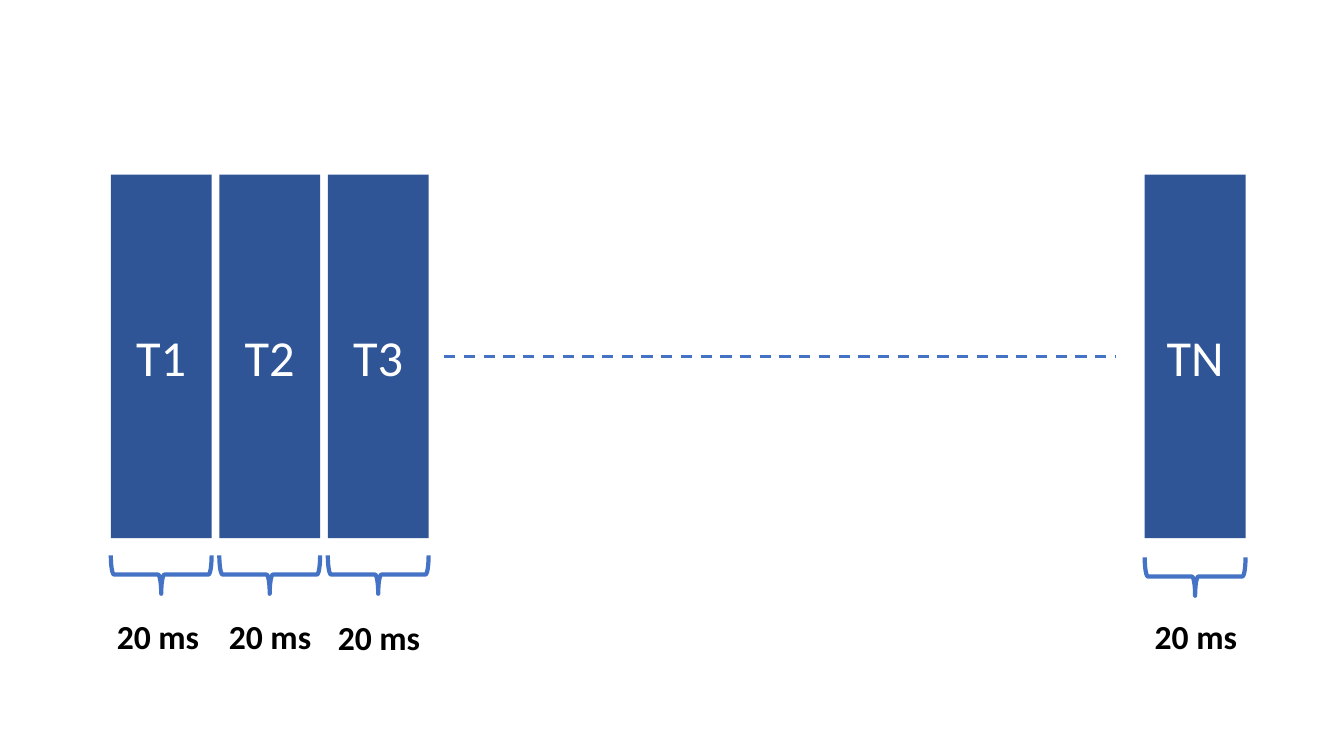
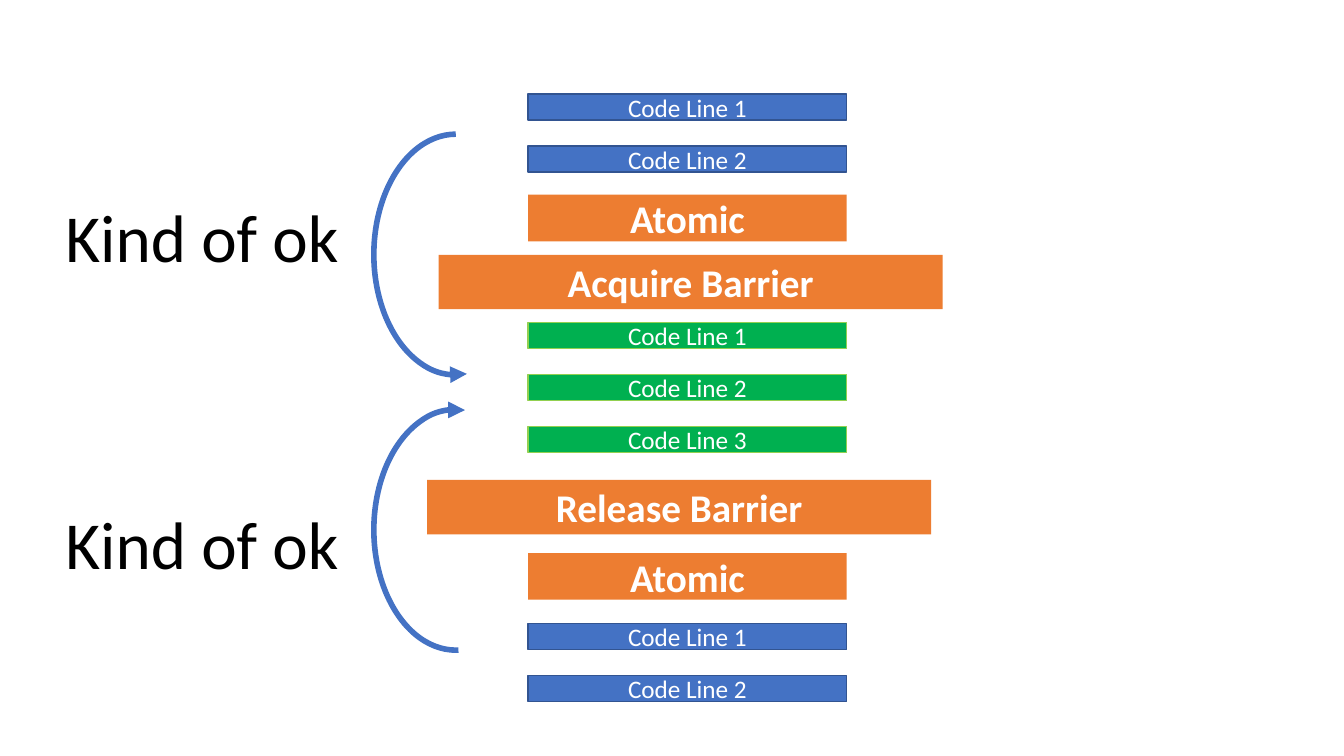
from lxml import etree
from pptx import Presentation
from pptx.dml.color import RGBColor
from pptx.enum import dml, shapes, text
from pptx.oxml import ns
from pptx.util import Pt

FONT = "Calibri"
WHITE, BLACK = "FFFFFF", "000000"
BLUE, NAVY, DARK_BLUE = "4472C4", "2F5597", "325491"
ORANGE, GREEN, LIME = "ED7D31", "00B050", "92D050"
SHAPE = shapes.MSO_SHAPE


def rgb(value):
    return RGBColor.from_string(value)


def write(sp, words, size, color, bold=False, align=None):
    p = sp.text_frame.paragraphs[0]
    p.text = words
    p.alignment = align
    p.font.name = FONT
    p.font.size = Pt(size)
    p.font.bold = bold
    p.font.color.rgb = rgb(color)


def add_outline(s, kind, x, y, w, h, weight):
    sp = s.shapes.add_shape(kind, Pt(x), Pt(y), Pt(w), Pt(h))
    sp.shadow.inherit = False
    sp.fill.background()
    sp.line.color.rgb = rgb(BLUE)
    sp.line.width = Pt(weight)
    sp.rotation = 270
    return sp


def add_box(s, x, y, w, h, words, size, fill, line=None, bold=False):
    sp = s.shapes.add_shape(SHAPE.RECTANGLE, Pt(x), Pt(y), Pt(w), Pt(h))
    sp.shadow.inherit = False
    sp.fill.solid()
    sp.fill.fore_color.rgb = rgb(fill)
    if line:
        sp.line.color.rgb = rgb(line)
        sp.line.width = Pt(1)
    else:
        sp.line.fill.background()
    sp.text_frame.vertical_anchor = text.MSO_ANCHOR.MIDDLE
    write(sp, words, size, WHITE, bold, text.PP_ALIGN.CENTER)


def add_label(s, x, y, w, h, words, size, bold=False, wrap=True):
    sp = s.shapes.add_textbox(Pt(x), Pt(y), Pt(w), Pt(h))
    tf = sp.text_frame
    tf.word_wrap = wrap
    tf.auto_size = text.MSO_AUTO_SIZE.SHAPE_TO_FIT_TEXT
    write(sp, words, size, BLACK, bold)


def add_dashes(s, x1, x2, y):
    line = s.shapes.add_connector(shapes.MSO_CONNECTOR.STRAIGHT,
                                  Pt(x1), Pt(y), Pt(x2), Pt(y))
    line.line.color.rgb = rgb(BLUE)
    line.line.width = Pt(2)
    line.line.dash_style = dml.MSO_LINE.DASH
    etree.SubElement(line._element.spPr, ns.qn("a:effectLst"))


def add_arc_arrow(s, y, start, end, arrow_end):
    sp = add_outline(s, SHAPE.ARC, 239.75, y, 172, 117.4, 4)
    sp.adjustments[0] = start
    sp.adjustments[1] = end
    ln = sp.line._get_or_add_ln()
    etree.SubElement(ln, ns.qn(arrow_end), type="triangle")


def add_time_slot(s, x, name, brace_y, label_x, label_y, label_w):
    width, depth = 72, 27.4
    add_box(s, x, 124.8, width, 259.7, name, 36, NAVY)
    add_outline(s, SHAPE.LEFT_BRACE, x + (width - depth) / 2, brace_y,
                depth, width, 3)
    add_label(s, label_x, label_y, label_w, 36, "20 ms", 24, bold=True)


def add_code_lines(s, y, count, fill, line):
    for i in range(count):
        add_box(s, 377.3, y + 37.1 * i, 227.5, 18.7, f"Code Line {i + 1}",
                18, fill, line)


def add_atomic(s, y):
    add_box(s, 377.3, y, 227.5, 33.3, "Atomic", 28, ORANGE, bold=True)


def add_barrier(s, x, y, words):
    add_box(s, x, y, 360, 38.9, words, 28, ORANGE, bold=True)


def build_time_slices(s):
    first, pitch = 79.2, 77.5
    add_time_slot(s, first, "T1", 374.4, 76.3, 436.3, 77.8)
    add_time_slot(s, first + pitch, "T2", 374.4, 156.4, 436.3, 77.8)
    add_time_slot(s, first + 2 * pitch, "T3", 374.4, 234.2, 437, 82.8)
    add_time_slot(s, 817.7, "TN", 375.8, 817.7, 436.3, 82.8)
    add_dashes(s, 317.3, 797, 254.6)


def build_barriers(s):
    add_arc_arrow(s, 123.1, 104.875, 215.937, "a:headEnd")
    add_arc_arrow(s, 319.7, 107.296, 2.558, "a:tailEnd")
    for y in (136.1, 355):
        add_label(s, 39.6, y, 211.7, 65.5, "Kind of ok", 48, wrap=False)
    add_code_lines(s, 67.1, 2, BLUE, DARK_BLUE)
    add_atomic(s, 139.1)
    add_barrier(s, 313.3, 182, "Acquire Barrier")
    add_code_lines(s, 230.4, 3, GREEN, LIME)
    add_barrier(s, 305.1, 342.8, "Release Barrier")
    add_atomic(s, 395)
    add_code_lines(s, 445.5, 2, BLUE, DARK_BLUE)


def main():
    prs = Presentation()
    prs.slide_width, prs.slide_height = Pt(960), Pt(540)
    for build in (build_time_slices, build_barriers):
        build(prs.slides.add_slide(prs.slide_layouts[6]))
    prs.save("out.pptx")


main()
